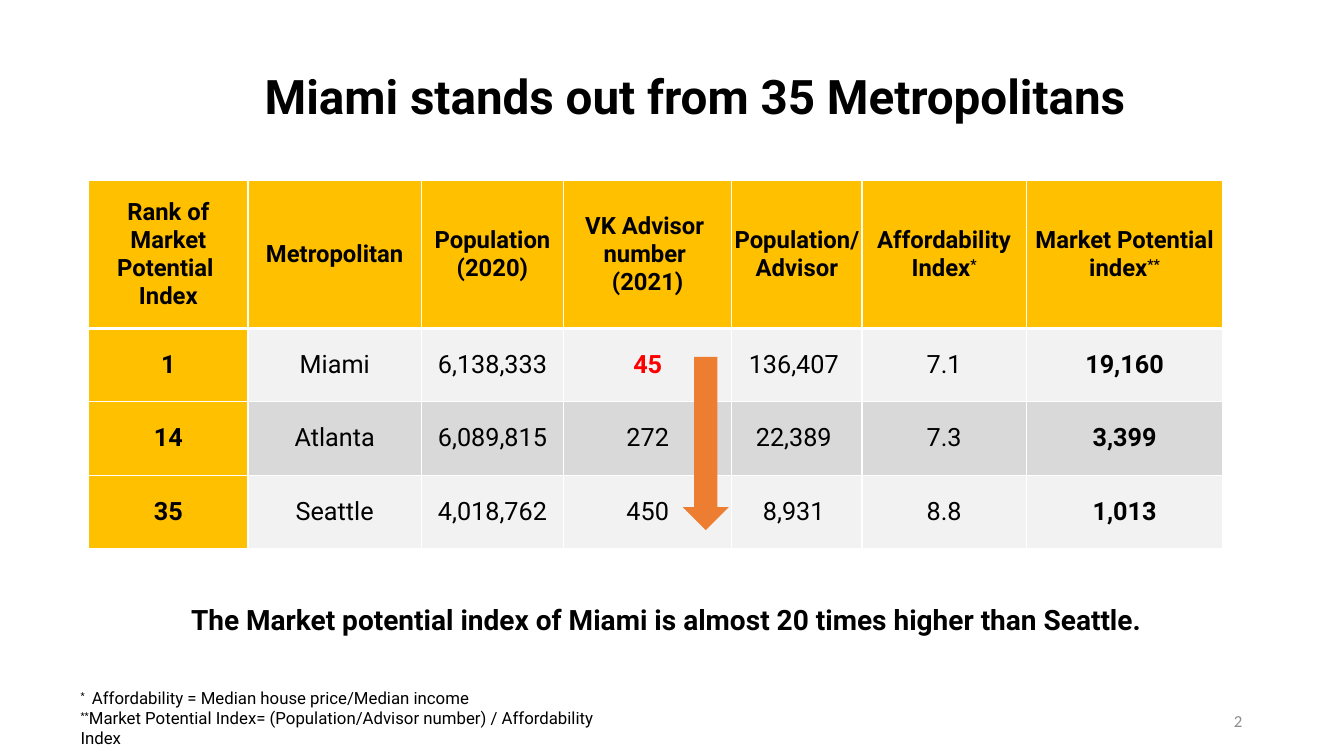
from lxml import etree
from pptx import Presentation
from pptx import util as u
from pptx.dml import color
from pptx.enum import shapes, text
from pptx.oxml import ns

PX = 9144
COLORS = {
    "ink": "000000",
    "white": "FFFFFF",
    "gold": "FFC000",
    "light": "F2F2F2",
    "gray": "D9D9D9",
    "alert": "FF0000",
    "arrow": "ED7D31",
    "number": "8C8C8C",
}
ALIGN = text.PP_ALIGN
COLUMN_WIDTHS = [158, 172, 141, 167, 129, 163, 195]
ROW_HEIGHTS = [147, 72, 74, 72]
ROWS = [
    ["Rank of Market Potential \nIndex", "Metropolitan", "Population\n(2020)",
     "VK Advisor \nnumber \n(2021)", "Population/\nAdvisor",
     "Affordability\nIndex^*", "Market Potential\nindex^**"],
    ["1", "Miami", "6,138,333", "45", "136,407 ", "7.1", "19,160"],
    ["14", "Atlanta", "6,089,815", "272", "22,389 ", "7.3", "3,399"],
    ["35", "Seattle", "4,018,762", "450", "8,931 ", "8.8", "1,013"],
]
FOOTNOTES = (
    "^*   ^Affordability = Median house price/Median income\n"
    "^**^Market Potential Index= (Population/Advisor number) / Affordability Index"
)


def rgb(name):
    return color.RGBColor.from_string(COLORS[name])


class SlideBuilder:
    def __init__(self, slide, font):
        self.slide = slide
        self.font = font

    def add_text(self, frame, content, size, bold=False, tone="ink",
                 align=ALIGN.CENTER, font=None):
        for index, line in enumerate(content.split("\n")):
            para = frame.paragraphs[0] if index == 0 else frame.add_paragraph()
            para.alignment = align
            for part, words in enumerate(line.split("^")):
                if not words:
                    continue
                span = para.add_run()
                span.text = words
                span.font.name = font or self.font
                span.font.size = u.Pt(size)
                span.font.bold = bold
                span.font.color.rgb = rgb(tone)
                if part % 2:
                    span._r.get_or_add_rPr().set("baseline", "30000")

    def place(self, shape, left, top, width, height):
        shape.left, shape.top = left * PX, top * PX
        shape.width, shape.height = width * PX, height * PX

    def title(self, content, place, size):
        title = self.slide.shapes.title
        self.place(title, *place)
        title.text_frame.vertical_anchor = text.MSO_ANCHOR.MIDDLE
        self.add_text(title.text_frame, content, size, bold=True)
        title.text_frame.paragraphs[0].line_spacing = 0.9

    def label(self, content, place, size, anchor=text.MSO_ANCHOR.TOP, **style):
        box = self.slide.shapes.add_textbox(*(length * PX for length in place))
        box.text_frame.word_wrap = True
        box.text_frame.vertical_anchor = anchor
        self.add_text(box.text_frame, content, size, **style)

    def down_arrow(self, place, tone):
        arrow = self.slide.shapes.add_shape(
            shapes.MSO_SHAPE.DOWN_ARROW, *(length * PX for length in place))
        arrow.shadow.inherit = False
        arrow.fill.solid()
        arrow.fill.fore_color.rgb = rgb(tone)
        arrow.line.fill.background()

    def border(self, cell, side, points):
        line = etree.SubElement(cell._tc.get_or_add_tcPr(), ns.qn(f"a:ln{side}"),
                                w=str(u.Pt(points)))
        fill = etree.SubElement(line, ns.qn("a:solidFill"))
        etree.SubElement(fill, ns.qn("a:srgbClr"), val=COLORS["white"])

    def cell(self, cell, content, row, column):
        cell.margin_left = cell.margin_right = 0
        cell.margin_top = cell.margin_bottom = 0
        cell.vertical_anchor = text.MSO_ANCHOR.MIDDLE
        widths = {"L": 1, "R": 1, "T": 3 if row == 1 else 1, "B": 3 if row == 0 else 1}
        for side, points in widths.items():
            self.border(cell, side, points)
        heading = row == 0 or column == 0
        few_advisors = (row, column) == (1, 3)
        cell.fill.solid()
        cell.fill.fore_color.rgb = rgb(
            "gold" if heading else "light" if row % 2 else "gray")
        self.add_text(cell.text_frame, content, 17 if row == 0 else 18,
                      bold=heading or few_advisors or column == len(COLUMN_WIDTHS) - 1,
                      tone="alert" if few_advisors else "ink")

    def table(self, rows, left, top, widths, heights):
        table = self.slide.shapes.add_table(
            len(heights), len(widths), left * PX, top * PX,
            sum(widths) * PX, sum(heights) * PX).table
        table.first_row = table.horz_banding = False
        for column, width in zip(table.columns, widths):
            column.width = width * PX
        for row, height in zip(table.rows, heights):
            row.height = height * PX
        for row, values in enumerate(rows):
            for column, value in enumerate(values):
                self.cell(table.cell(row, column), value, row, column)


def main():
    deck = Presentation()
    deck.slide_width, deck.slide_height = 1333 * PX, 750 * PX
    page = SlideBuilder(deck.slides.add_slide(deck.slide_layouts[5]), "Roboto")
    page.title("Miami stands out from 35 Metropolitans", (0, 51, 1379, 94), 34)
    page.label("2", (942, 695, 300, 40), 12, anchor=text.MSO_ANCHOR.MIDDLE,
               tone="number", align=ALIGN.RIGHT, font="Calibri")
    page.label(FOOTNOTES, (70, 677, 538, 50), 12, align=ALIGN.LEFT)
    page.table(ROWS, 88, 179, COLUMN_WIDTHS, ROW_HEIGHTS)
    page.label("The Market potential index of Miami is almost 20 times higher than Seattle.",
               (75, 593, 1172, 44), 20, bold=True)
    page.down_arrow((677, 354, 46, 172), "arrow")
    deck.save("out.pptx")


if __name__ == "__main__":
    main()
